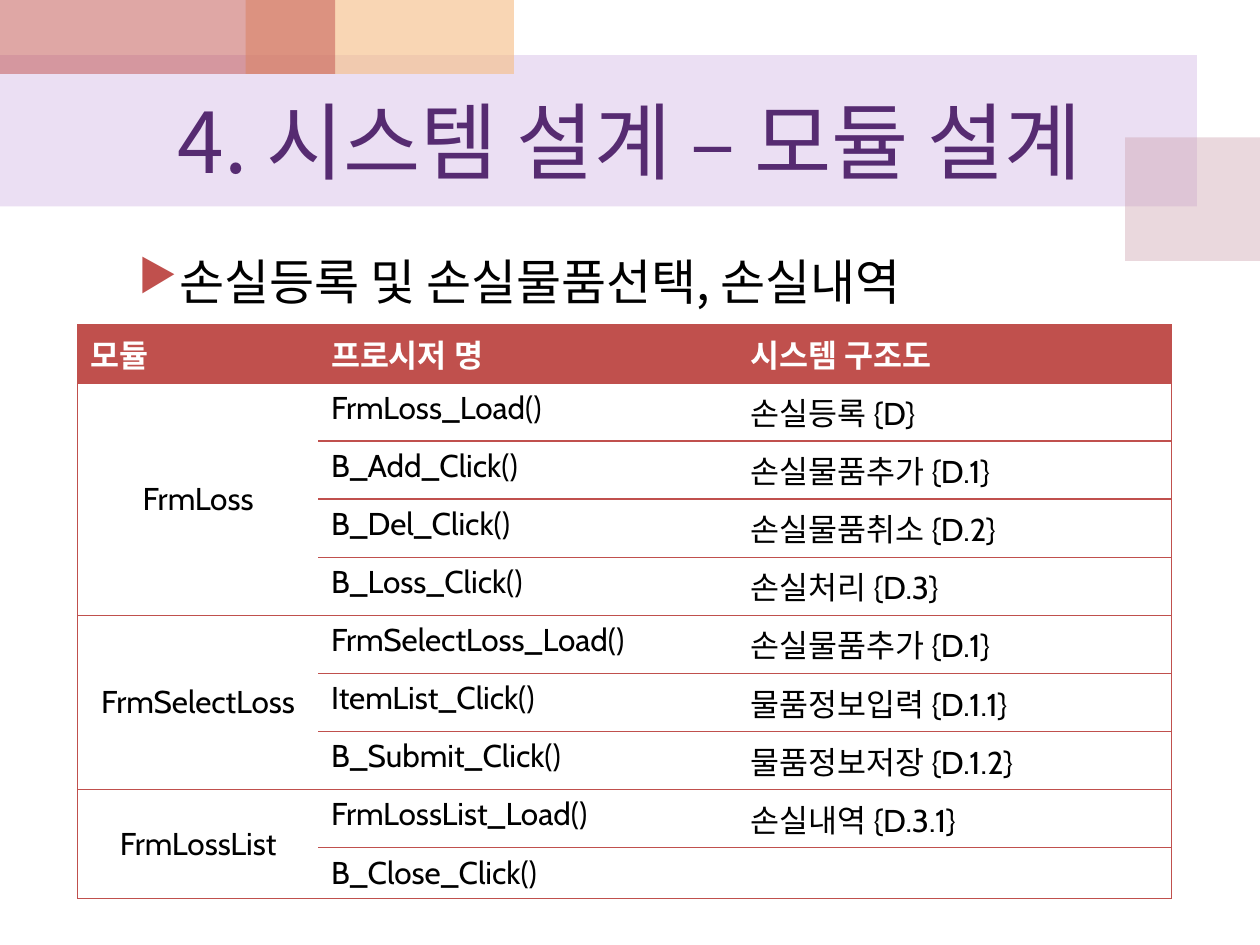
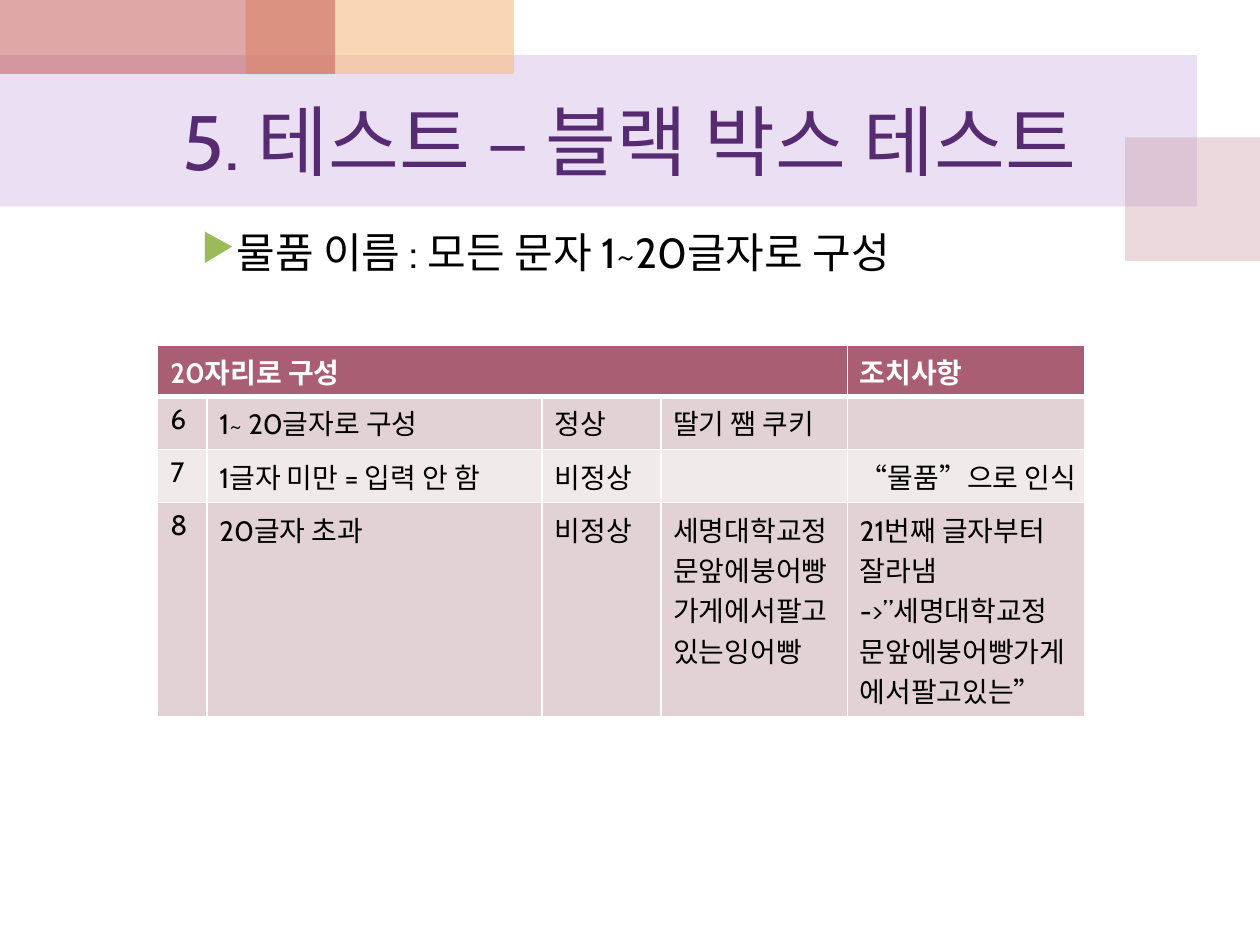
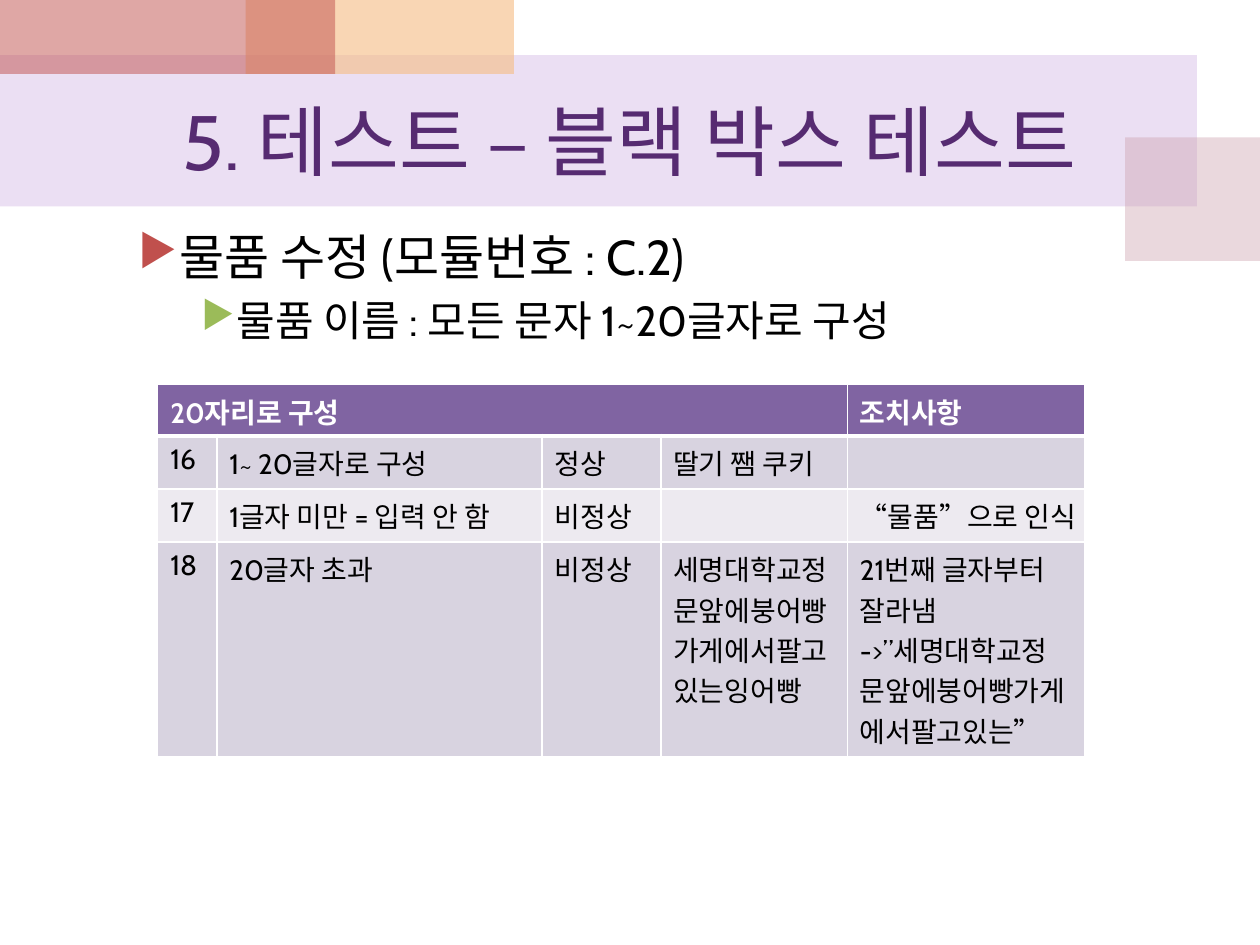
from lxml.etree import SubElement
from pptx import Presentation
from pptx.dml.color import RGBColor
from pptx.enum.shapes import MSO_SHAPE
from pptx.enum.text import MSO_ANCHOR, PP_ALIGN
from pptx.oxml.ns import qn
from pptx.util import Cm, Pt

COLOURS = {
    "title": "562B71", "text": "000000", "white": "FFFFFF",
    "lavender": "BF98D8", "rose": "CC9EAC", "peach": "F5BC83",
    "red": "C0504D", "green": "9BBB59",
    "plum": "AA5E74", "plum dark": "E2D2D6", "plum light": "F1EAEB",
    "purple": "8064A2", "purple dark": "D8D3E0", "purple light": "EDEAF0",
}
LATIN_FONT = "Cabin"
KOREAN_FONT = "Noto Sans CJK KR"

# colour, opacity in percent, left, top, width, height in cm
BANDS = [
    ("lavender", 30, 0, 1.11, 24.13, 3.05),
    ("rose", 40, 22.68, 2.77, 2.72, 2.49),
    ("peach", 60, 4.95, 0, 5.41, 1.49),
    ("red", 50, 0, 0, 6.76, 1.49),
]

# bullet colour, text size, left margin and hanging indent in cm
LEVELS = {1: ("red", 28, 2.06, 0.79), 2: ("green", 24, 3.18, 0.64)}

MODULE_HEADER = ["모듈", "프로시저 명", "시스템 구조도"]
MODULES = {
    "FrmLoss": [
        ("FrmLoss_Load()", "손실등록 {D}"),
        ("B_Add_Click()", "손실물품추가 {D.1}"),
        ("B_Del_Click()", "손실물품취소 {D.2}"),
        ("B_Loss_Click()", "손실처리 {D.3}"),
    ],
    "FrmSelectLoss": [
        ("FrmSelectLoss_Load()", "손실물품추가 {D.1}"),
        ("ItemList_Click()", "물품정보입력 {D.1.1}"),
        ("B_Submit_Click()", "물품정보저장 {D.1.2}"),
    ],
    "FrmLossList": [
        ("FrmLossList_Load()", "손실내역 {D.3.1}"),
        ("B_Close_Click()", ""),
    ],
}

TEST_TITLE = "5. 테스트 – 블랙 박스 테스트"
NAME_RULE = "물품 이름 : 모든 문자 1~20글자로 구성"
TEST_HEADER = ["20자리로 구성", "", "", "", "조치사항"]
TEST_CASES = [
    ["1~ 20글자로 구성", "정상", "딸기 쨈 쿠키", ""],
    ["1글자 미만 = 입력 안 함", "비정상", "", "“물품”으로 인식"],
    ["20글자 초과", "비정상", "세명대학교정문앞에붕어빵가게에서팔고있는잉어빵",
     "21번째 글자부터\n잘라냄\n->”세명대학교정문앞에붕어빵가게에서팔고있는”"],
]


def rgb(name):
    return RGBColor.from_string(COLOURS[name])


class Deck:
    def __init__(self):
        self.deck = Presentation()
        self.deck.slide_width, self.deck.slide_height = Cm(25.4), Cm(19.05)
        self.page = None

    def add_page(self, title, size, font=LATIN_FONT):
        self.page = self.deck.slides.add_slide(self.deck.slide_layouts[6])
        for band in BANDS:
            self.band(*band)
        frame = self.text_box(1.27, 1.49, 22.86, 2.67)
        frame.vertical_anchor = MSO_ANCHOR.MIDDLE
        frame.text = title
        frame.paragraphs[0].alignment = PP_ALIGN.CENTER
        self.style(frame.paragraphs[0], size, "title", font=font)

    def band(self, colour, opacity, *place):
        shape = self.page.shapes.add_shape(MSO_SHAPE.RECTANGLE, *map(Cm, place))
        shape.shadow.inherit = False
        shape.line.fill.background()
        shape.fill.solid()
        shape.fill.fore_color.rgb = rgb(colour)
        tint = shape.fill._xPr.find(".//" + qn("a:srgbClr"))
        SubElement(tint, qn("a:alpha"), val=str(opacity * 1000))

    def text_box(self, *place):
        frame = self.page.shapes.add_textbox(*map(Cm, place)).text_frame
        frame.word_wrap = True
        return frame

    def style(self, para, size, colour="text", bold=False, font=LATIN_FONT):
        para.font.size = Pt(size)
        para.font.bold = bold
        para.font.color.rgb = rgb(colour)
        para.font.name = font
        SubElement(para.font._element, qn("a:ea"), typeface=KOREAN_FONT)

    def bullets(self, top, items, font=LATIN_FONT):
        """Write (level, text) items as one bulleted list."""
        frame = self.text_box(1.27, top, 22.86, 3)
        for index, (level, text) in enumerate(items):
            colour, size, margin, hang = LEVELS[level]
            para = frame.add_paragraph() if index else frame.paragraphs[0]
            para.text = text
            props = para._p.get_or_add_pPr()
            props.set("marL", str(Cm(margin)))
            props.set("indent", str(-Cm(hang)))
            tint = SubElement(props, qn("a:buClr"))
            SubElement(tint, qn("a:srgbClr"), val=COLOURS[colour])
            SubElement(props, qn("a:buSzPct"), val="90000")
            SubElement(props, qn("a:buChar"), char="▶")
            if index:
                para.space_before = Pt(size * 0.2)
            self.style(para, size, font=font)

    def table(self, left, top, widths, heights):
        grid = self.page.shapes.add_table(
            len(heights), len(widths), Cm(left), Cm(top),
            Cm(sum(widths)), Cm(sum(heights))).table
        for column, width in zip(grid.columns, widths):
            column.width = Cm(width)
        for row, height in zip(grid.rows, heights):
            row.height = Cm(height)
        return grid

    def cell(self, cell, text, size, colour, bold, fill, line, widths):
        """Fill a cell; widths are its left, right, top and bottom line in points."""
        cell.text = text
        for para in cell.text_frame.paragraphs:
            self.style(para, size, colour, bold)
        props = cell._tc.get_or_add_tcPr()
        for side, width in zip("LRTB", widths):
            edge = SubElement(props, qn("a:ln" + side), w=str(Pt(width)))
            if width:
                paint = SubElement(edge, qn("a:solidFill"))
                SubElement(paint, qn("a:srgbClr"), val=COLOURS[line])
            else:
                SubElement(edge, qn("a:noFill"))
        if fill:
            cell.fill.solid()
            cell.fill.fore_color.rgb = rgb(fill)
        else:
            cell.fill.background()

    def module_table(self):
        rows = [MODULE_HEADER]
        for module, procedures in MODULES.items():
            for index, procedure in enumerate(procedures):
                rows.append(["" if index else module, *procedure])
        grid = self.table(1.57, 6.55, [4.85, 8.46, 8.74], [1.17] * 9 + [1.03])
        for y, row in enumerate(rows):
            for x, text in enumerate(row):
                edges = (0.75 * (x == 0), 0.75 * (x == 2), 0.75, 0.75)
                look = ("white", True, "red") if y == 0 else ("text", False, None)
                self.cell(grid.cell(y, x), text, 18, *look, "red", edges)
        first = 1
        for procedures in MODULES.values():
            last = first + len(procedures) - 1
            label = grid.cell(first, 0)
            label.merge(grid.cell(last, 0))
            label.vertical_anchor = MSO_ANCHOR.MIDDLE
            label.text_frame.paragraphs[0].alignment = PP_ALIGN.CENTER
            first = last + 1

    def test_table(self, top, number_width, first_number, theme):
        rows = [TEST_HEADER]
        rows += [[str(n), *case] for n, case in enumerate(TEST_CASES, first_number)]
        widths = [number_width, 7.75 - number_width, 2.39, 3.76, 4.78]
        grid = self.table(3.18, top, widths, [1.04, 1.07, 1.07, 4.32])
        for y, row in enumerate(rows):
            shade = theme + (" dark" if y % 2 else " light")
            look = ("text", False, shade) if y else ("white", True, theme)
            edges = (1, 1, 3 if y == 1 else 1, 1 if y else 3)
            for x, text in enumerate(row):
                cell = grid.cell(y, x)
                self.cell(cell, text, 16, *look, "white", edges)
                if y < len(TEST_CASES):  # these rows stay on one line
                    cell.margin_right = 0
        grid.cell(0, 0).merge(grid.cell(0, 3))


def main():
    deck = Deck()

    deck.add_page("4. 시스템 설계 – 모듈 설계", 48, KOREAN_FONT)
    deck.bullets(4.95, [(1, "손실등록 및 손실물품선택, 손실내역")], KOREAN_FONT)
    deck.module_table()

    deck.add_page(TEST_TITLE, 44)
    deck.bullets(4.45, [(2, NAME_RULE)])
    deck.test_table(6.95, 0.99, 6, "plum")

    deck.add_page(TEST_TITLE, 44)
    deck.bullets(4.45, [(1, "물품 수정 (모듈번호 : C.2)"), (2, NAME_RULE)])
    deck.test_table(7.75, 1.19, 16, "purple")

    deck.deck.save("out.pptx")


if __name__ == "__main__":
    main()
